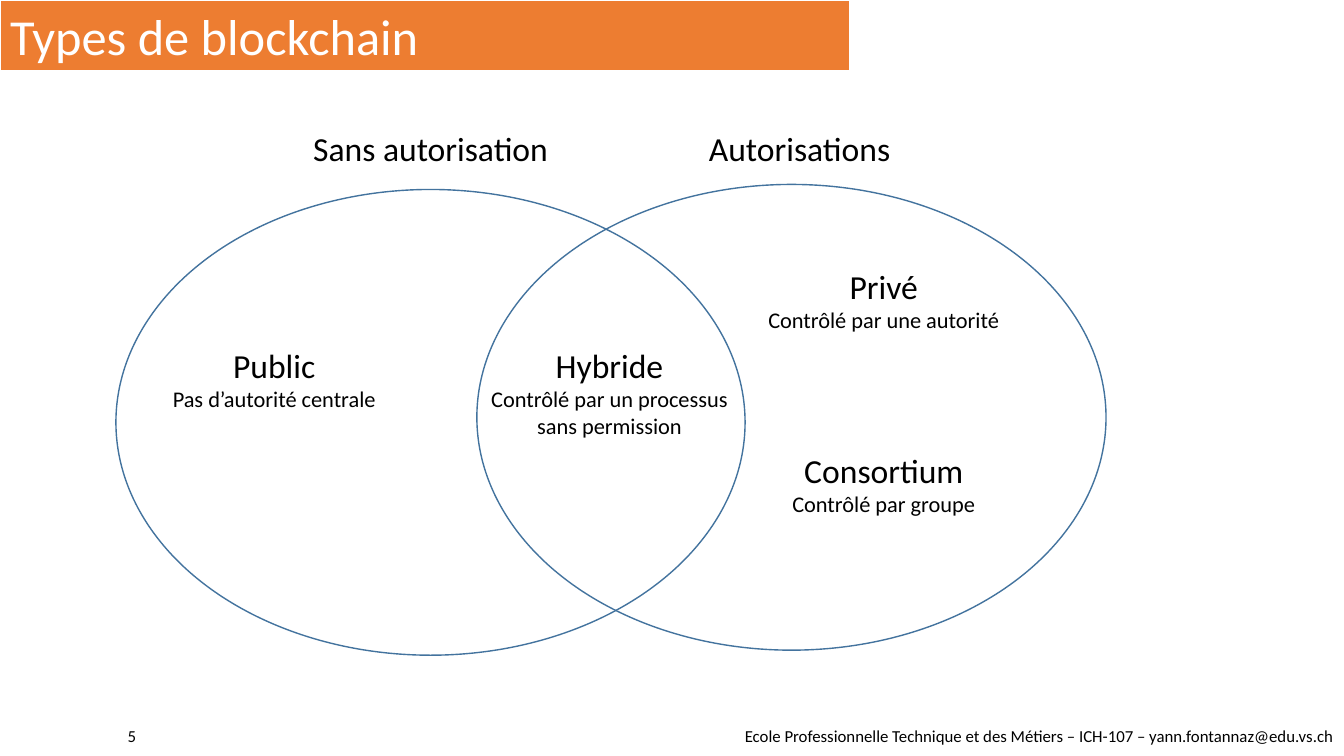
from pptx import Presentation, util as u
from pptx.dml.color import RGBColor
from pptx.enum import shapes, text

deck = Presentation()
deck.slide_width, deck.slide_height = u.Inches(13.33), u.Inches(7.5)
slide = deck.slides.add_slide(deck.slide_layouts[5])

CENTER, LEFT, RIGHT = text.PP_ALIGN.CENTER, text.PP_ALIGN.LEFT, text.PP_ALIGN.RIGHT
TOP, MIDDLE = text.MSO_ANCHOR.TOP, text.MSO_ANCHOR.MIDDLE


def color(code):
    return RGBColor.from_string(code)


def write(shape, lines, align=CENTER, anchor=TOP, ink="000000"):
    """Fill a shape with one paragraph per (wording, size) pair."""
    frame = shape.text_frame
    frame.word_wrap = True
    frame.auto_size = text.MSO_AUTO_SIZE.NONE
    frame.vertical_anchor = anchor
    for i, (wording, size) in enumerate(lines):
        paragraph = frame.add_paragraph() if i else frame.paragraphs[0]
        paragraph.alignment = align
        run = paragraph.add_run()
        run.text = wording
        run.font.name, run.font.size = "Calibri", u.Pt(size)
        run.font.color.rgb = color(ink)


# Title band
title = slide.shapes.title
title.left, title.top = 0, 0
title.width, title.height = u.Inches(8.43), u.Inches(0.71)
title.fill.solid()
title.fill.fore_color.rgb = color("ED7D31")
title.line.color.rgb = color("FFFFFF")
title.line.width = u.Pt(1.5)
write(title, [("Types de blockchain", 36)], LEFT, ink="FFFFFF")

# Footer: slide number and school
footer = [("5", 1.07, 0.38),
          ("Ecole Professionnelle Technique et des Métiers – ICH-107 – yann.fontannaz@edu.vs.ch",
           2.44, 10.89)]
for wording, left, width in footer:
    box = slide.shapes.add_textbox(u.Inches(left), u.Inches(7.1), u.Inches(width), u.Inches(0.4))
    write(box, [(wording, 12)], RIGHT, MIDDLE)

# Set names above the circles, blockchain types inside: left, top, width, height
labels = [
    (1.31, 3.37, 2.82, 0.77, "Public", "Pas d’autorité centrale"),
    (4.7, 3.37, 2.69, 1.04, "Hybride", "Contrôlé par un processus sans permission"),
    (7.42, 2.59, 2.69, 0.77, "Privé", "Contrôlé par une autorité"),
    (7.42, 4.41, 2.69, 0.77, "Consortium", "Contrôlé par groupe"),
    (2.86, 1.22, 2.82, 0.5, "Sans autorisation"),
    (6.52, 1.22, 2.82, 0.5, "Autorisations"),
]
for *place, heading in [label[:5] for label in labels]:
    details = [label[5:] for label in labels if label[4] == heading][0]
    box = slide.shapes.add_textbox(*map(u.Inches, place))
    write(box, [(heading, 24)] + [(detail, 16) for detail in details])

# Overlapping sets
for left, top in [(4.73, 1.83), (1.15, 1.88)]:
    ellipse = slide.shapes.add_shape(shapes.MSO_SHAPE.OVAL, u.Inches(left), u.Inches(top),
                                     u.Inches(6.24), u.Inches(4.62))
    ellipse.shadow.inherit = False
    ellipse.fill.background()
    ellipse.line.color.rgb = color("43739E")
    ellipse.line.width = u.Pt(1)

deck.save("out.pptx")
